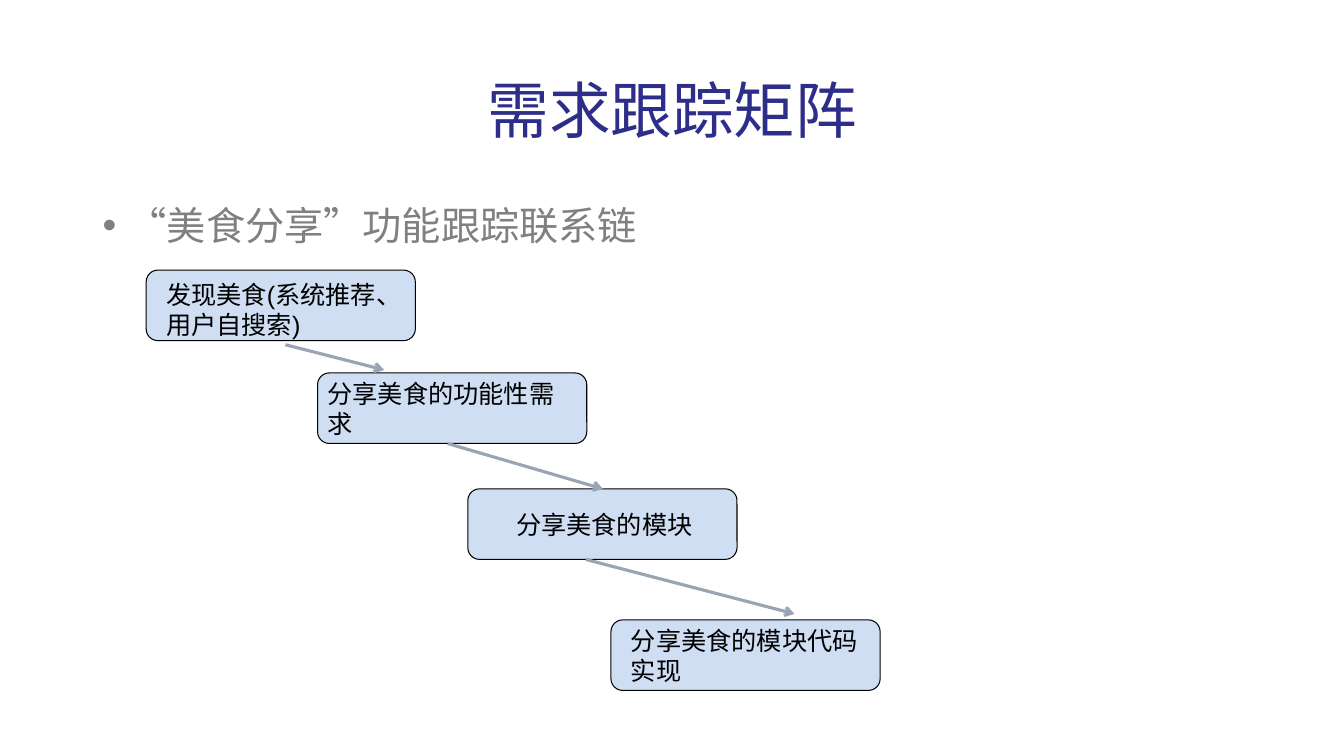
import pptx
import pptx.util
import pptx.dml.color
import pptx.enum.shapes
import pptx.enum.text
import pptx.oxml.ns
import lxml.etree
from dataclasses import dataclass


@dataclass(frozen=True)
class Theme:
    font: str = "Arial"
    title: str = "2D2D8A"
    body: str = "808080"
    ink: str = "000000"
    fill: str = "CFDEF3"
    arrow: str = "99A4B4"
    title_size: int = 44
    body_size: int = 28
    step_size: int = 18


THEME = Theme()
TITLE = "需求跟踪矩阵"
SUBTITLE = "“美食分享”功能跟踪联系链"

# Each step: wording, box corner, label offset inside the box
STEPS = [
    ("发现美食(系统推荐、用户自搜索)", (1.45, 2.68), (0.1, 0.04)),
    ("分享美食的功能性需求", (3.15, 3.7), (0, 0)),
    ("分享美食的模块", (4.64, 4.85), (0.38, 0.15)),
    ("分享美食的模块代码实现", (6.06, 6.15), (0.1, 0)),
]
STEP_SIZE = (2.67, 0.7)
LABEL_SIZE = (2.57, 0.7)
# Each arrow: start and end
ARROWS = [
    ((2.83, 3.42), (3.81, 3.67)),
    ((4.44, 4.4), (5.98, 4.85)),
    ((5.81, 5.55), (7.88, 6.09)),
]
MARGIN, CONTENT_WIDTH = 0.92, 11.5

inch = pptx.util.Inches
qn = pptx.oxml.ns.qn
colour = pptx.dml.color.RGBColor.from_string

deck = pptx.Presentation()
deck.slide_width, deck.slide_height = inch(13.33), inch(7.5)
page = deck.slides.add_slide(deck.slide_layouts[6])


def add_text(corner, size, words, points, shade):
    box = page.shapes.add_textbox(*map(inch, corner + size))
    box.text_frame.word_wrap = True
    para = box.text_frame.paragraphs[0]
    span = para.add_run()
    span.text = words
    span.font.name = THEME.font
    span.font.size = pptx.util.Pt(points)
    span.font.color.rgb = colour(shade)
    return box, para


# Title
box, para = add_text((MARGIN, 0.4), (CONTENT_WIDTH, 1.45),
                     TITLE, THEME.title_size, THEME.title)
box.text_frame.vertical_anchor = pptx.enum.text.MSO_ANCHOR.MIDDLE
para.alignment = pptx.enum.text.PP_ALIGN.CENTER
para.line_spacing = 0.9

# Bulleted subtitle
box, para = add_text((MARGIN, 2), (CONTENT_WIDTH, 4.76),
                     SUBTITLE, THEME.body_size, THEME.body)
para.line_spacing = 0.9
para.space_before = pptx.util.Pt(10)
props = para._p.get_or_add_pPr()
props.set("marL", str(inch(0.25)))
props.set("indent", str(-inch(0.25)))
lxml.etree.SubElement(props, qn("a:buFont")).set("typeface", THEME.font)
lxml.etree.SubElement(props, qn("a:buChar")).set("char", "•")

# Chain of steps
for words, (left, top), (shift_x, shift_y) in STEPS:
    step = page.shapes.add_shape(
        pptx.enum.shapes.MSO_SHAPE.ROUNDED_RECTANGLE,
        *map(inch, (left, top) + STEP_SIZE))
    step.shadow.inherit = False
    step.fill.solid()
    step.fill.fore_color.rgb = colour(THEME.fill)
    step.line.color.rgb = colour(THEME.ink)
    step.line.width = pptx.util.Pt(0.75)
    add_text((left + shift_x, top + shift_y), LABEL_SIZE,
             words, THEME.step_size, THEME.ink)

# Arrows between steps
for start, end in ARROWS:
    arrow = page.shapes.add_connector(
        pptx.enum.shapes.MSO_CONNECTOR.STRAIGHT, *map(inch, start + end))
    arrow.line.color.rgb = colour(THEME.arrow)
    arrow.line.width = pptx.util.Pt(2.25)
    head = lxml.etree.SubElement(arrow.line._get_or_add_ln(), qn("a:tailEnd"))
    head.set("type", "arrow")
    lxml.etree.SubElement(arrow._element.spPr, qn("a:effectLst"))

deck.save("out.pptx")
